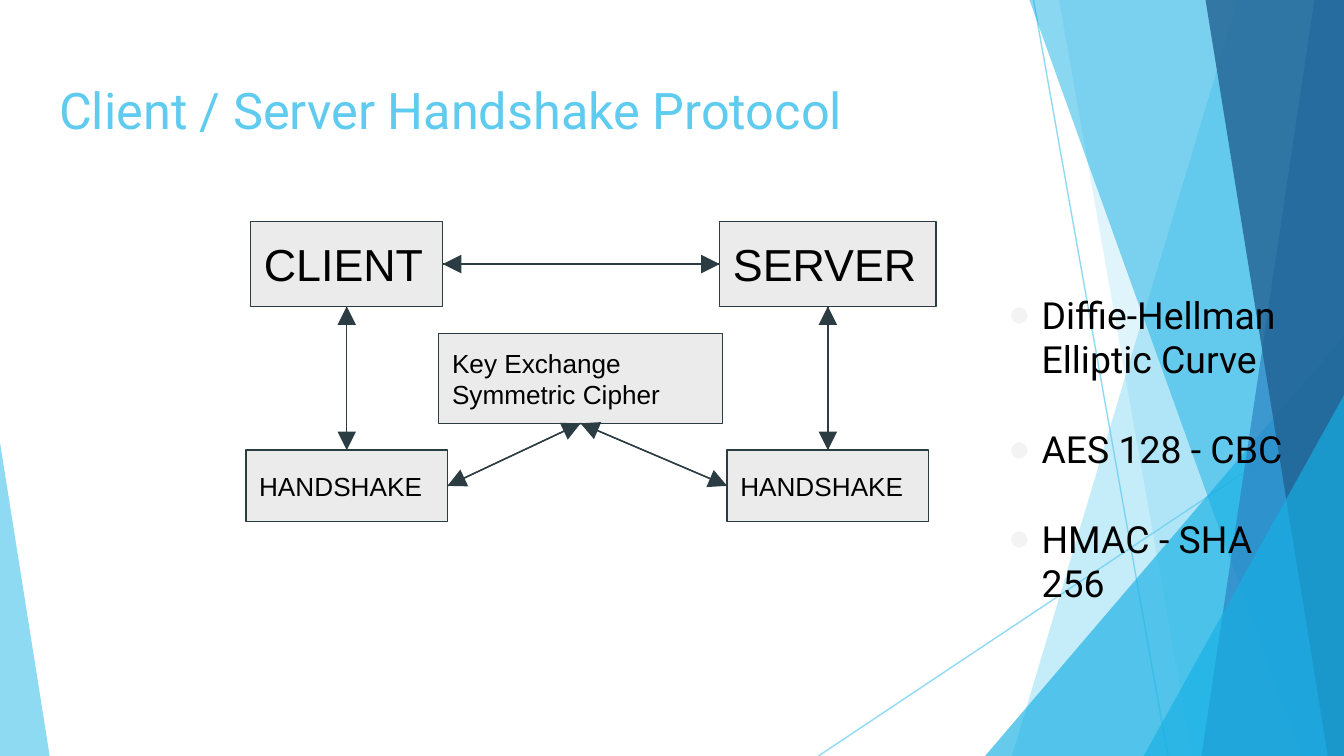
from lxml.etree import SubElement
from pptx import Presentation
from pptx.dml.color import RGBColor
from pptx.enum.shapes import MSO_CONNECTOR, MSO_SHAPE
from pptx.enum.text import MSO_ANCHOR, MSO_AUTO_SIZE, PP_ALIGN
from pptx.oxml.ns import qn
from pptx.util import Inches, Pt

WIDTH = 10
HEIGHT = WIDTH * 9 / 16
SKY, CYAN, BLUE, NAVY = "5FCBEF", "17B0E4", "2E83C3", "226292"
INK, PANEL, BLACK, BULLET = "2C3C43", "EBEBEB", "000000", "F3F3F3"
TOP, LEFT, BOTTOM, RIGHT = range(4)  # connection sites of a rectangle


def color(code):
    return RGBColor.from_string(code)


def paint(fill, code, opacity=100):
    fill.solid()
    fill.fore_color.rgb = color(code)
    if opacity < 100:
        # The solid fill holds the colour that takes the alpha value
        owner = fill._xPr.find(qn("a:solidFill"))[0]
        SubElement(owner, qn("a:alpha")).set("val", str(opacity * 1000))


def place(shape, box):
    shape.left, shape.top, shape.width, shape.height = map(Inches, box)


def set_frame(frame, anchor):
    frame.word_wrap = True
    frame.auto_size = MSO_AUTO_SIZE.NONE
    frame.vertical_anchor = anchor
    frame.margin_left = frame.margin_right = Inches(0.1)
    frame.margin_top = frame.margin_bottom = Inches(0.1)


def style(para, font, size, code):
    para.alignment = PP_ALIGN.LEFT
    for span in para.runs:
        span.font.name = font
        span.font.size = Pt(size)
        span.font.color.rgb = color(code)


def add_line(shapes, code, start=(0, 0), end=(0, 0), opacity=100):
    points = map(Inches, (*start, *end))
    line = shapes.add_connector(MSO_CONNECTOR.STRAIGHT, *points)
    line.line.width = Pt(0.75)
    paint(line.line.fill, code, opacity)
    SubElement(line.element.spPr, qn("a:effectLst"))
    return line


def add_facet(shapes, points, code, opacity):
    corners = [(Inches(x), Inches(y)) for x, y in points]
    builder = shapes.build_freeform(*corners[0])
    builder.add_line_segments(corners[1:], close=True)
    facet = builder.convert_to_shape()
    facet.shadow.inherit = False
    facet.line.fill.background()
    paint(facet.fill, code, opacity)


def add_triangle(shapes, box, apex, code, opacity):
    triangle = shapes.add_shape(MSO_SHAPE.ISOSCELES_TRIANGLE, *map(Inches, box))
    triangle.adjustments[0] = apex
    triangle.shadow.inherit = False
    triangle.line.fill.background()
    paint(triangle.fill, code, opacity)


def add_backdrop(slide, width, height):
    shapes = slide.shapes.add_group_shape().shapes
    # Thin rays
    add_line(shapes, SKY, (7.69, 0), (8.69, height), 70)
    add_line(shapes, SKY, (width, 3.02), (6.09, height), 70)

    # Facets reach the right edge; each has its own slanted left side
    def facet(top_x, bottom_x, code, opacity):
        points = [(top_x, 0), (width, 0), (width, height), (bottom_x, height)]
        add_facet(shapes, points, code, opacity)

    def corner(left, top, code, opacity):
        box = (left, top, width - left, height - top)
        add_triangle(shapes, box, 1, code, opacity)

    facet(9.21, 7.53, SKY, 36)
    facet(7.88, 8.87, SKY, 20)
    corner(7.33, 2.5, CYAN, 66)
    facet(7.66, 9.68, CYAN, 50)
    facet(9.78, 8.94, BLUE, 70)
    facet(8.97, 9.88, NAVY, 80)
    corner(8.51, 2.94, CYAN, 66)
    # Left corner
    add_triangle(shapes, (0, 3.29, 0.37, height - 3.29), 0, SKY, 70)


def add_title(slide, box, text):
    title = slide.shapes.title
    place(title, box)
    set_frame(title.text_frame, MSO_ANCHOR.TOP)
    title.text_frame.text = text
    style(title.text_frame.paragraphs[0], "Roboto", 27, SKY)
    slide.shapes.element.append(title.element)  # in front of the backdrop


def add_node(slide, box, text, size):
    node = slide.shapes.add_shape(MSO_SHAPE.RECTANGLE, *map(Inches, box))
    node.shadow.inherit = False
    paint(node.fill, PANEL)
    paint(node.line.fill, INK)
    node.line.width = Pt(0.75)
    set_frame(node.text_frame, MSO_ANCHOR.MIDDLE)
    para = node.text_frame.paragraphs[0]
    para.text = text
    style(para, "Arial", size, BLACK)
    return node


def link(slide, first, second):
    # One arrow for each direction
    for start, end in ((first, second), (second, first)):
        arrow = add_line(slide.shapes, INK)
        arrow.begin_connect(*start)
        arrow.end_connect(*end)
        head = SubElement(arrow.line._get_or_add_ln(), qn("a:tailEnd"))
        head.set("type", "triangle")
        head.set("w", "lg")
        head.set("len", "lg")


def add_diagram(slide, left, top):
    def node(center, y, width, height, text, size):
        box = (left + center - width / 2, top + y, width, height)
        return add_node(slide, box, text, size)

    # Each handshake is centred below its party
    client_x, server_x = 0.75, 4.33
    server = node(server_x, 0, 1.61, 0.63, "SERVER", 24)
    client = node(client_x, 0, 1.43, 0.63, "CLIENT", 24)
    client_shake, server_shake = [
        node(x, 1.7, 1.5, 0.53, "HANDSHAKE", 14) for x in (client_x, server_x)
    ]

    # Two-way arrows
    link(slide, (client_shake, TOP), (client, BOTTOM))
    link(slide, (server, BOTTOM), (server_shake, TOP))
    link(slide, (client, RIGHT), (server, LEFT))
    exchange = node(2.49, 0.83, 2.11, 0.67, "Key Exchange\vSymmetric Cipher", 14)
    link(slide, (client_shake, RIGHT), (exchange, BOTTOM))
    link(slide, (exchange, BOTTOM), (server_shake, LEFT))


def add_algorithms(slide, box, items):
    body = slide.placeholders[1]
    place(body, box)
    frame = body.text_frame
    set_frame(frame, MSO_ANCHOR.TOP)
    frame.text = "\n".join(items)
    for index, para in enumerate(frame.paragraphs):
        style(para, "Roboto", 20, BLACK)
        para.space_before = Pt(24 if index else 0)
        # Hanging bullet
        props = para._p.get_or_add_pPr()
        props.set("marL", str(Inches(0.5)))
        props.set("indent", str(Inches(-0.25)))
        tint = SubElement(props, qn("a:buClr"))
        SubElement(tint, qn("a:srgbClr")).set("val", BULLET)
        SubElement(props, qn("a:buFont")).set("typeface", "Arial")
        SubElement(props, qn("a:buChar")).set("char", "●")
    slide.shapes.element.append(body.element)  # in front of the backdrop


def main():
    deck = Presentation()
    deck.slide_width, deck.slide_height = Inches(WIDTH), Inches(HEIGHT)
    slide = deck.slides.add_slide(deck.slide_layouts[1])
    add_backdrop(slide, WIDTH, HEIGHT)
    add_title(slide, (0.34, 0.49, 9.32, 0.63), "Client / Server Handshake Protocol")
    add_diagram(slide, 1.83, 1.65)
    add_algorithms(
        slide,
        (7.15, 2.07, 2.79, 1.81),
        ["Diffie-Hellman \vElliptic Curve", "AES 128 - CBC", "HMAC - SHA 256"],
    )
    deck.save("out.pptx")


if __name__ == "__main__":
    main()
